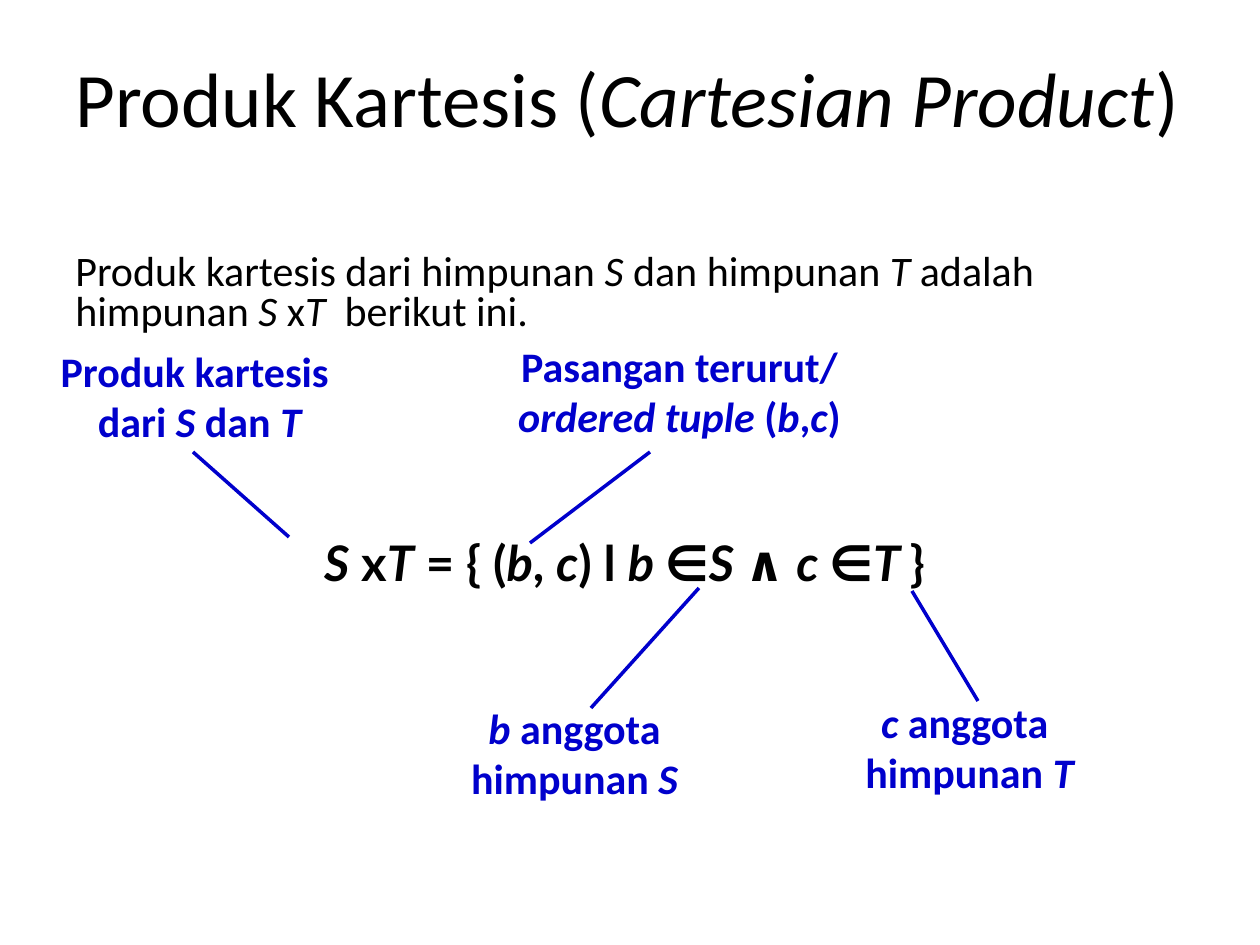
from lxml import etree
from pptx import Presentation
from pptx import util as u
from pptx.dml.color import RGBColor
from pptx.enum import shapes, text
from pptx.oxml.ns import qn

PX_PER_INCH = 126
COLORS = {"text": "000000", "accent": "0000CC"}


def px(value):
    return u.Inches(value / PX_PER_INCH)


def color(name):
    return RGBColor.from_string(COLORS[name])


def place(shape, box):
    shape.left, shape.top, shape.width, shape.height = map(px, box)


def write(paragraph, content, size, color_name="text", font="Calibri", bold=False):
    """Write content into a paragraph; parts between asterisks are italic."""
    paragraph.font.name = font
    paragraph.font.size = u.Pt(size)
    paragraph.font.bold = bold
    paragraph.font.color.rgb = color(color_name)
    for index, part in enumerate(content.split("*")):
        if part:
            run = paragraph.add_run()
            run.text = part
            run.font.italic = index % 2 == 1


def add_title(slide, content):
    title = slide.shapes.title
    place(title, (63, -2, 1134, 198))
    frame = title.text_frame
    frame.auto_size = text.MSO_AUTO_SIZE.NONE
    frame.vertical_anchor = text.MSO_ANCHOR.MIDDLE
    frame.paragraphs[0].alignment = text.PP_ALIGN.LEFT
    write(frame.paragraphs[0], content, 44)


def add_text(slide, box, lines, size, align=text.PP_ALIGN.CENTER, wrap=True, **style):
    shape = slide.shapes.add_textbox(*map(px, box))
    frame = shape.text_frame
    frame.word_wrap = wrap
    for index, line in enumerate(lines):
        paragraph = frame.add_paragraph() if index else frame.paragraphs[0]
        paragraph.alignment = align
        write(paragraph, line, size, **style)
    return frame


def add_definition(slide, content):
    frame = add_text(slide, (63, 248, 1134, 398), [content], 24, text.PP_ALIGN.LEFT)
    frame.paragraphs[0].line_spacing = 0.8
    frame.paragraphs[0].space_before = u.Pt(6)


def add_formula(slide, content):
    frame = add_text(slide, (203, 533, 843, 59), [content], 28, font="Lato", bold=True)
    frame.margin_left = frame.margin_right = 0
    frame.margin_top = frame.margin_bottom = 0


def add_pointer(slide, start, end):
    line = slide.shapes.add_connector(
        shapes.MSO_CONNECTOR.STRAIGHT, *map(px, start + end))
    line.line.color.rgb = color("accent")
    line.line.width = u.Pt(2)
    etree.SubElement(line._element.spPr, qn("a:effectLst"))


def add_label(slide, box, lines, wrap, start, end):
    """A blue label with the line that ties it to the formula."""
    add_pointer(slide, start, end)
    add_text(slide, box, lines, 24, wrap=wrap, color_name="accent", bold=True)


def main():
    presentation = Presentation()
    presentation.slide_width, presentation.slide_height = u.Inches(10), u.Inches(7.5)
    slide = presentation.slides.add_slide(presentation.slide_layouts[5])

    # Title and definition
    add_title(slide, "Produk Kartesis (*Cartesian Product*)")
    add_definition(slide, "Produk kartesis dari himpunan *S *dan himpunan *T *"
                          "adalah himpunan *S *x*T*  berikut ini.")

    # Labels: box, lines, wrap, pointer start and end
    labels = [
        ((23, 339, 353, 113), ["Produk kartesis ", "dari *S *dan *T*"], False,
         (289, 537), (193, 452)),
        ((432, 696, 285, 113), ["*b* anggota himpunan *S*"], True,
         (591, 708), (699, 588)),
        ((481, 334, 397, 113), ["Pasangan terurut/ *ordered tuple *(*b*,*c*)"], True,
         (530, 543), (650, 452)),
        ((838, 690, 263, 113), ["*c *anggota ", "himpunan *T*"], False,
         (978, 701), (912, 591)),
    ]
    for label in labels:
        add_label(slide, *label)

    # Formula
    add_formula(slide, "*S* x*T* = { (*b*, *c*) l *b *∈*S *∧ *c *∈*T *}")

    presentation.save("out.pptx")


if __name__ == "__main__":
    main()
